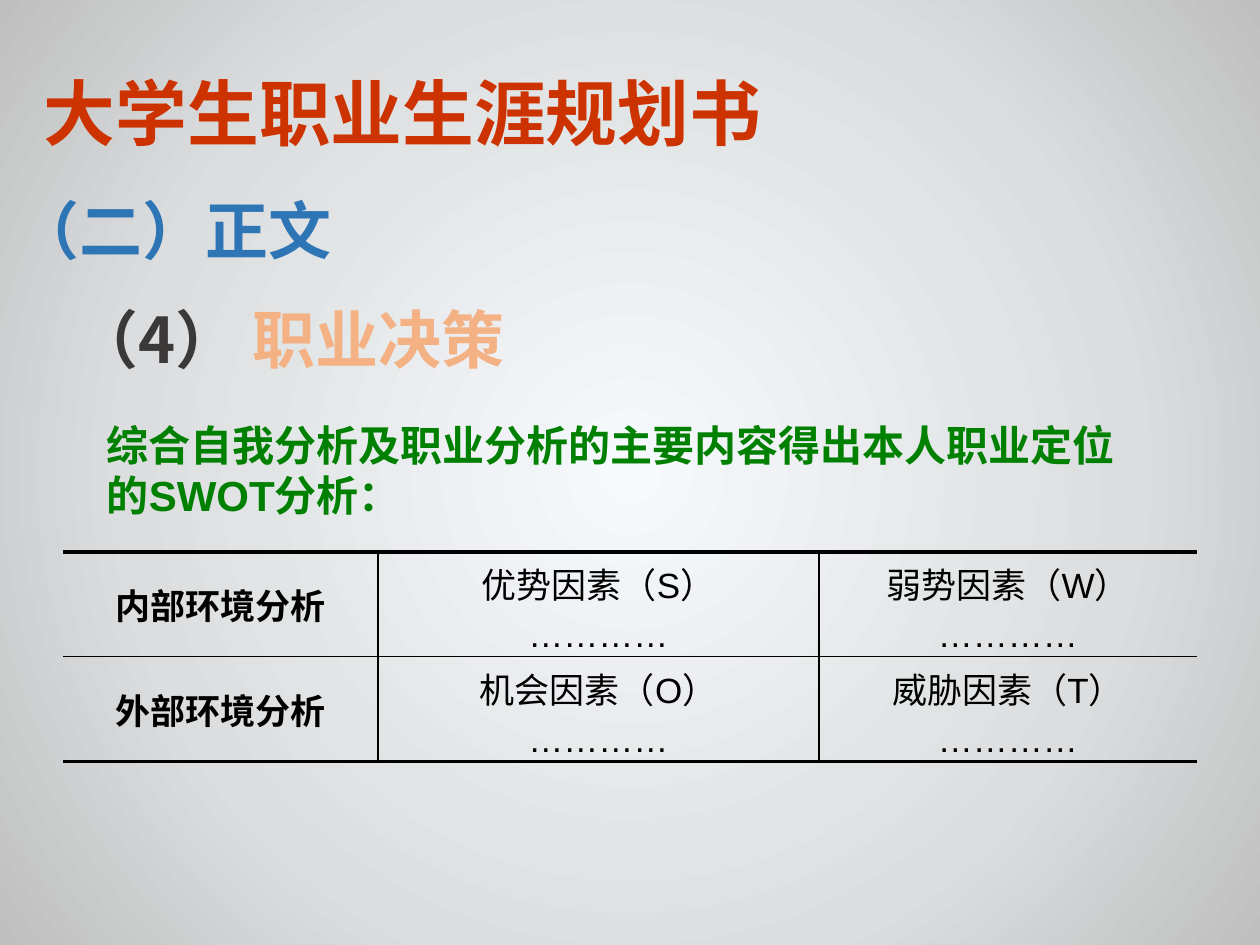
from lxml import etree
from pptx import Presentation
from pptx import util as u
from pptx.dml.color import RGBColor
from pptx.enum import text
from pptx.oxml import ns

NOTO, ARIAL = "Noto Sans CJK SC", "Arial"
MID = text.MSO_ANCHOR.MIDDLE


def color(code):
    return RGBColor.from_string(code)


def node(up, tag, **attrs):
    return etree.SubElement(up, ns.qn(tag), attrs)


class Deck:
    def __init__(self, wide, high):
        self.prs = Presentation()
        self.prs.slide_width = u.Inches(wide)
        self.prs.slide_height = u.Inches(high)
        self.slide = self.prs.slides.add_slide(self.prs.slide_layouts[6])

    def area(self, x, y, w, h):
        wide, high = self.prs.slide_width, self.prs.slide_height
        return int(x * wide), int(y * high), int(w * wide), int(h * high)

    def glow(self, stops):
        fill = self.slide.background.fill
        fill.gradient()
        grad = self.slide.background._cSld.find(".//" + ns.qn("a:gradFill"))
        for part in list(grad):
            grad.remove(part)
        row = node(grad, "a:gsLst")
        for pos, code in stops:
            stop = node(row, "a:gs", pos=str(pos * 1000))
            node(stop, "a:srgbClr", val=code)
        shape = node(grad, "a:path", path="circle")
        node(shape, "a:fillToRect", **dict.fromkeys("ltrb", "50000"))

    def style(self, run, size, code, face, bold=True):
        font = run.font
        font.size, font.bold, font.name = u.Pt(size), bold, face
        font.color.rgb = color(code)
        node(run._r.get_or_add_rPr(), "a:ea", typeface=NOTO)

    def label(self, area, size, parts, anchor=text.MSO_ANCHOR.TOP, lead=1.0):
        frame = self.slide.shapes.add_textbox(*self.area(*area)).text_frame
        frame.word_wrap, frame.vertical_anchor = True, anchor
        para = frame.paragraphs[0]
        para.line_spacing = lead
        for words, code, face in parts:
            run = para.add_run()
            run.text = words
            self.style(run, size, code, face)

    def edge(self, cell, side, width):
        line = node(cell._tc.get_or_add_tcPr(), "a:ln" + side,
                    w=str(u.Pt(width)))
        if width:
            node(node(line, "a:solidFill"), "a:srgbClr", val="000000")
        else:
            node(line, "a:noFill")

    def table(self, area, cols, rows):
        frame = self.slide.shapes.add_table(
            len(rows), len(cols), *self.area(*area))
        grid = frame.table
        grid.first_row = grid.horz_banding = False
        for col, share in zip(grid.columns, cols):
            col.width = int(share * self.prs.slide_width)
        for r, row in enumerate(rows):
            for c, words in enumerate(row):
                cell = grid.cell(r, c)
                cell.vertical_anchor = MID
                self.edge(cell, "L", 0.75 if c else 0)
                self.edge(cell, "R", 0.75 if c < len(cols) - 1 else 0)
                self.edge(cell, "T", 0.75 if r else 2.25)
                self.edge(cell, "B", 0.75 if r < len(rows) - 1 else 2.25)
                cell.fill.background()
                cell.text_frame.text = words
                for para in cell.text_frame.paragraphs:
                    para.alignment = text.PP_ALIGN.CENTER
                    para.space_before = u.Pt(4)
                    self.style(para.runs[0], 20, "000000", ARIAL, c == 0)


def main():
    deck = Deck(10, 7.5)
    deck.glow([(0, "F7FAFD"), (64, "DBDDDE"), (100, "BFBFBF")])
    deck.label((0.025, 0.035, 0.9, 0.167), 41,
               [("大学生职业生涯规划书", "CC3300", NOTO)], MID)
    deck.label((0.05, 0.311, 0.9, 0.104), 36,
               [("（4） ", "3B3838", NOTO), ("职业决策", "F4B183", ARIAL)],
               MID, 0.9)
    deck.label((0.075, 0.437, 0.85, 0.121), 24,
               [("综合自我分析及职业分析的主要内容得出本人职业定位的SWOT分析：",
                 "008000", ARIAL)])
    dots = "\n…………"
    deck.table((0.05, 0.584, 0.9, 0.222), (0.25, 0.35, 0.3), [
        ("内部环境分析", "优势因素（S）" + dots, "弱势因素（W）" + dots),
        ("外部环境分析", "机会因素（O）" + dots, "威胁因素（T）" + dots)])
    deck.label((0.003, 0.196, 0.59, 0.095), 36,
               [("（二）正文", "2E75B6", ARIAL)])
    deck.prs.save("out.pptx")


if __name__ == "__main__":
    main()
